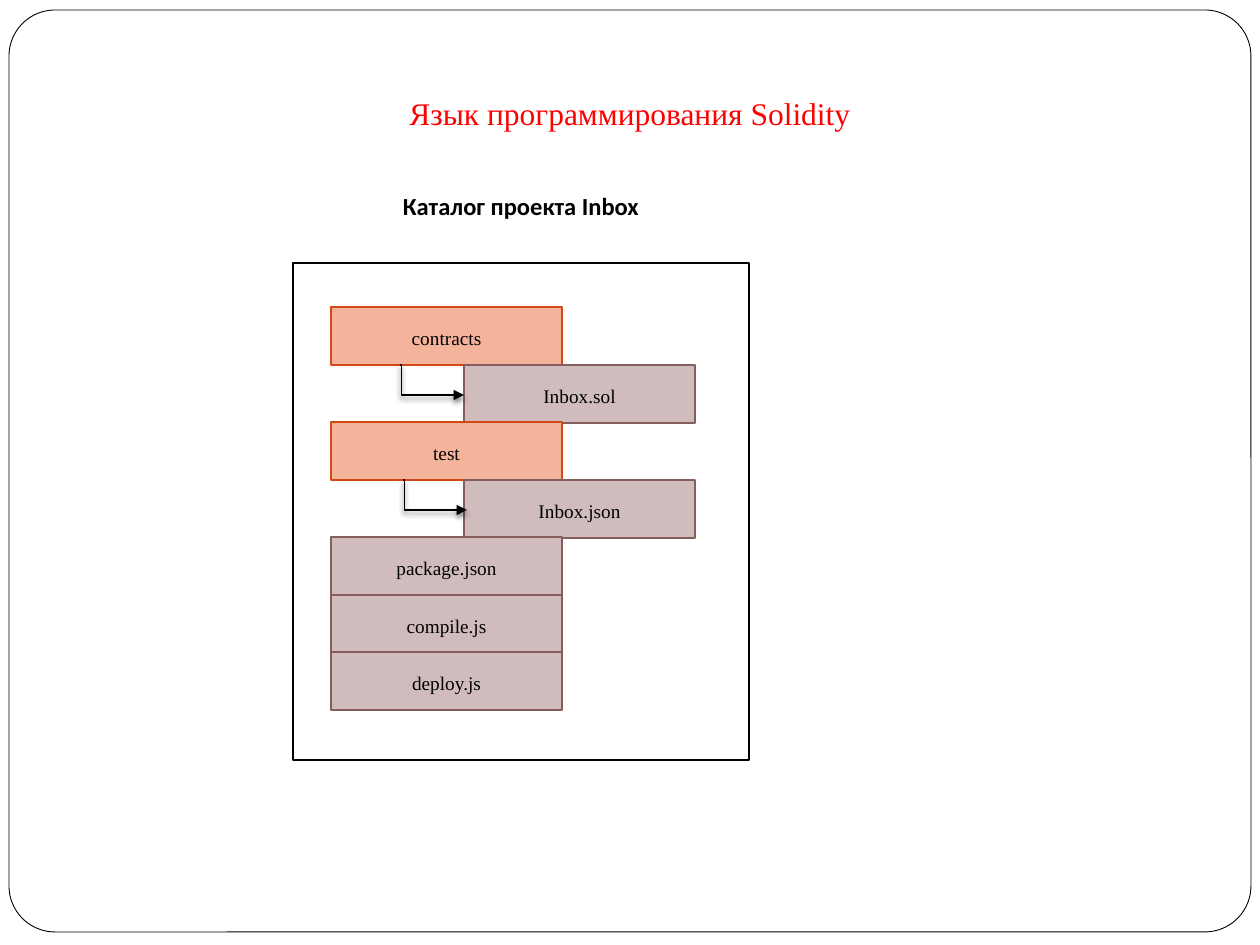
from lxml.etree import SubElement
from pptx import Presentation
from pptx.dml.color import RGBColor
from pptx.enum.shapes import MSO_CONNECTOR, MSO_SHAPE
from pptx.enum.text import MSO_ANCHOR, PP_ALIGN
from pptx.oxml.ns import qn
from pptx.util import Emu, Pt

BLACK = RGBColor(0x00, 0x00, 0x00)
WHITE = RGBColor(0xFF, 0xFF, 0xFF)
RED = RGBColor(0xFF, 0x00, 0x00)
FOLDER_FILL = RGBColor(0xF4, 0xB3, 0x9B)
FOLDER_LINE = RGBColor(0xD3, 0x48, 0x17)
FILE_FILL = RGBColor(0xD0, 0xBC, 0xBC)
FILE_LINE = RGBColor(0x85, 0x5D, 0x5D)

PX_PER_INCH = 126
ENTRY_WIDTH, ENTRY_HEIGHT = 231, 58
ENTRY_TOP, TWO_ROWS = 307, 115
ROOT_LEFT, NESTED_LEFT = 331, 464

ENTRIES = [
    ("contracts", True, False),
    ("Inbox.sol", False, True),
    ("test", True, False),
    ("Inbox.json", False, True),
    ("package.json", False, False),
    ("compile.js", False, False),
    ("deploy.js", False, False),
]


def px(length):
    return Emu(round(length * 914400 / PX_PER_INCH))


def write(frame, text, *, font="Times New Roman", size=11, color=BLACK, bold=False,
          anchor=MSO_ANCHOR.TOP, line_spacing=1.15, space_after=10):
    frame.word_wrap = True
    frame.vertical_anchor = anchor
    paragraph = frame.paragraphs[0]
    paragraph.alignment = PP_ALIGN.CENTER
    paragraph.line_spacing = line_spacing
    paragraph.space_after = Pt(space_after)
    run = paragraph.add_run()
    run.text = text
    run.font.name = font
    run.font.size = Pt(size)
    run.font.bold = bold
    run.font.color.rgb = color


class CatalogSlide:
    def __init__(self, presentation):
        self.slide = presentation.slides.add_slide(presentation.slide_layouts[5])
        self.shapes = self.slide.shapes

    def box(self, left, top, width, height, fill=WHITE, line=BLACK, weight=1,
            kind=MSO_SHAPE.RECTANGLE):
        shape = self.shapes.add_shape(kind, px(left), px(top), px(width), px(height))
        shape.shadow.inherit = False
        shape.fill.solid()
        shape.fill.fore_color.rgb = fill
        shape.line.color.rgb = line
        shape.line.width = Pt(weight)
        return shape

    def frame(self, left, top, width, height):
        border = self.box(left, top, width, height, weight=0.5,
                          kind=MSO_SHAPE.ROUNDED_RECTANGLE)
        border.adjustments[0] = 0.05
        self.shapes._spTree.insert(2, border._element)

    def title(self, text, left, top, width, height):
        heading = self.shapes.title
        heading.left, heading.top = px(left), px(top)
        heading.width, heading.height = px(width), px(height)
        write(heading.text_frame, text, size=18, color=RED, line_spacing=1, space_after=0)

    def caption(self, text, left, top, width, height):
        label = self.shapes.add_textbox(px(left), px(top), px(width), px(height))
        write(label.text_frame, text, font="Calibri", size=14, bold=True)

    def entry(self, text, left, top, is_folder):
        fill, line = (FOLDER_FILL, FOLDER_LINE) if is_folder else (FILE_FILL, FILE_LINE)
        cell = self.box(left, top, ENTRY_WIDTH, ENTRY_HEIGHT, fill, line)
        write(cell.text_frame, text, anchor=MSO_ANCHOR.MIDDLE)

    def branch(self, left, top, width=64, height=30):
        arrow = self.shapes.add_connector(
            MSO_CONNECTOR.ELBOW, px(left), px(top), px(left + width), px(top + height))
        arrow.line.color.rgb = BLACK
        arrow.line.width = Pt(1)
        properties = arrow._element.spPr
        bend = properties.find(qn("a:prstGeom")).find(qn("a:avLst"))
        SubElement(bend, qn("a:gd"), name="adj1", fmla="val 2500")
        SubElement(properties.find(qn("a:ln")), qn("a:tailEnd"), type="triangle")
        effects = SubElement(properties, qn("a:effectLst"))
        shadow = SubElement(effects, qn("a:outerShdw"), blurRad=str(Pt(3)),
                            dist=str(Pt(2)), dir="5400000", rotWithShape="0")
        tint = SubElement(shadow, qn("a:srgbClr"), val=str(BLACK))
        SubElement(tint, qn("a:alpha"), val="50000")


def main():
    presentation = Presentation()
    presentation.slide_width = px(1260)
    presentation.slide_height = px(945)

    catalog = CatalogSlide(presentation)
    catalog.frame(9, 10, 1242, 922)
    catalog.title("Язык программирования Solidity", 243, 88, 774, 50)
    catalog.box(293, 263, 456, 497)
    for row, (entry_name, is_folder, is_nested) in enumerate(ENTRIES):
        entry_top = ENTRY_TOP + (row * TWO_ROWS + 1) // 2
        entry_left = NESTED_LEFT if is_nested else ROOT_LEFT
        catalog.entry(entry_name, entry_left, entry_top, is_folder)
    catalog.caption("Каталог проекта Inbox", 293, 180, 456, 82)
    for branch_left, branch_top in ((400, 365), (403, 480)):
        catalog.branch(branch_left, branch_top)

    presentation.save("out.pptx")


if __name__ == "__main__":
    main()
